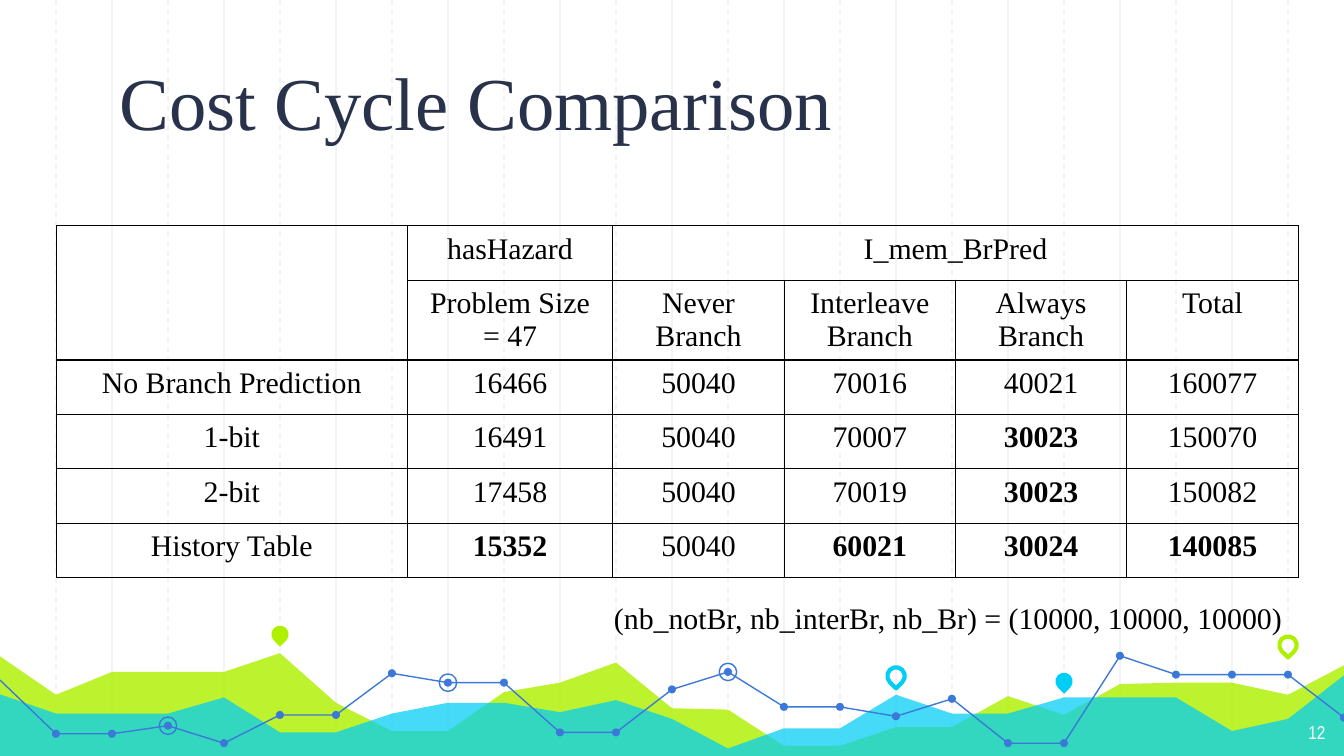
from dataclasses import dataclass

from lxml.etree import SubElement
from pptx import Presentation
from pptx.dml.color import RGBColor
from pptx.enum.dml import MSO_LINE_DASH_STYLE as Dash
from pptx.enum.shapes import MSO_CONNECTOR_TYPE as Connector, MSO_SHAPE as Shape
from pptx.enum.text import MSO_ANCHOR as Anchor, MSO_AUTO_SIZE as AutoSize, PP_ALIGN as Align
from pptx.oxml import parse_xml
from pptx.oxml.ns import nsdecls, qn
from pptx.util import Inches, Pt


@dataclass(frozen=True)
class Theme:
    title: str = "28324A"
    ink: str = "000000"
    grid: str = "F3F3F3"
    green: str = "AFF000"
    cyan: str = "00CEF6"
    blue: str = "3C78D8"
    white: str = "FFFFFF"
    serif: str = "Times New Roman"
    narrow: str = "Arial Narrow"
    title_size: int = 40
    body_size: int = 16
    number_size: int = 10
    thin: float = 0.75
    thick: float = 2.25


THEME = Theme()
WIDTH = 10
HEIGHT = WIDTH * 9 / 16
STEP = WIDTH / 24  # spacing of the background grid and of the chart points

# Heights of the decorative chart at each grid line, from left to right
GREEN_AREA = [4.87, 5.17, 5, 5, 5, 4.86, 5.23, 5.44, 5.44, 5.15, 5.08, 4.93, 5.27,
              5.28, 5.55, 5.55, 5.41, 5.41, 5.18, 5.32, 5.09, 5.08, 5.08, 5.17, 4.94]
CYAN_AREA = [5.16, 5.31, 5.31, 5.31, 5.19, 5.45, 5.45, 5.31, 5.23, 5.23, 5.3, 5.21, 5.35,
             5.57, 5.42, 5.42, 5.17, 5.31, 5.31, 5.19, 5.19, 5.19, 5.44, 5.35, 5.01]
BLUE_LINE = [5.06, 5.46, 5.46, 5.4, 5.53, 5.32, 5.32, 5.01, 5.08, 5.08, 5.45, 5.45, 5.13,
             5, 5.26, 5.26, 5.33, 5.2, 5.53, 5.53, 4.88, 5.02, 5.02, 5.02, 5.34]
LINE_PARTS = [(0, 11), (11, 20), (20, 24)]
RINGED_POINTS = [3, 8, 13]
PINS = [(5, 4.72, THEME.green, True), (16, 5.03, THEME.cyan, False),
        (19, 5.07, THEME.cyan, True), (23, 4.8, THEME.green, False)]

TABLE_ROWS = [
    ["", "hasHazard", "I_mem_BrPred", "", "", ""],
    ["", "Problem Size\n= 47", "Never Branch", "Interleave Branch", "Always Branch", "Total"],
    ["No Branch Prediction", "16466", "50040", "70016", "40021", "160077"],
    ["1-bit", "16491", "50040", "70007", "30023", "150070"],
    ["2-bit", "17458", "50040", "70019", "30023", "150082"],
    ["History Table", "15352", "50040", "60021", "30024", "140085"],
]
BEST_CELLS = {(3, 4), (4, 4), (5, 1), (5, 3), (5, 4), (5, 5)}


def write_text(frame, text, size=THEME.body_size, font=THEME.serif, color=THEME.ink,
               bold=False, align=Align.LEFT):
    """Fill a text frame, one paragraph for each line of text."""
    for index, line in enumerate(text.split("\n")):
        paragraph = frame.paragraphs[0] if index == 0 else frame.add_paragraph()
        paragraph.alignment = align
        run = paragraph.add_run()
        run.text = line
        run.font.size, run.font.name, run.font.bold = Pt(size), font, bold
        run.font.color.rgb = RGBColor.from_string(color)


def set_insets(frame, left, top, right, bottom):
    frame.margin_left, frame.margin_top = Inches(left), Inches(top)
    frame.margin_right, frame.margin_bottom = Inches(right), Inches(bottom)


def add_text_box(slide, box, text, inset=(0.1, 0.05), **text_format):
    frame = slide.shapes.add_textbox(*map(Inches, box)).text_frame
    frame.word_wrap = True
    set_insets(frame, *inset, *inset)
    write_text(frame, text, **text_format)


def paint(shape, fill=None, line=None, width=THEME.thin, opacity=100):
    """Give a shape a flat fill and line, or none of them."""
    shape.shadow.inherit = False
    if fill:
        shape.fill.solid()
        shape.fill.fore_color.rgb = RGBColor.from_string(fill)
        if opacity < 100:
            color = shape.element.spPr.find(qn("a:solidFill"))[0]
            SubElement(color, qn("a:alpha")).set("val", str(opacity * 1000))
    else:
        shape.fill.background()
    if line:
        shape.line.color.rgb = RGBColor.from_string(line)
        shape.line.width = Pt(width)
    else:
        shape.line.fill.background()


def add_outline(slide, points, close):
    points = [(Inches(x), Inches(y)) for x, y in points]
    builder = slide.shapes.build_freeform(*points[0])
    builder.add_line_segments(points[1:], close=close)
    return builder.convert_to_shape()


def add_marker(slide, kind, x, y, size):
    """Centre a small shape on a point."""
    return slide.shapes.add_shape(kind, Inches(x - size / 2), Inches(y - size / 2),
                                  Inches(size), Inches(size))


def add_grid(slide, box):
    """Vertical lines: solid on even steps, dashed on odd steps."""
    left, top, width, height = box
    for index in [*range(2, 24, 2), *range(1, 24, 2)]:
        x = Inches(left + index * width / 24)
        line = slide.shapes.add_connector(Connector.STRAIGHT, x, Inches(top),
                                          x, Inches(top + height))
        line.line.color.rgb = RGBColor.from_string(THEME.grid)
        line.line.width = Pt(THEME.thin)
        if index % 2:
            line.line.dash_style = Dash.DASH
        SubElement(line.element.spPr, qn("a:effectLst"))


def add_footer_chart(slide, left, bottom):
    """Decorative areas, line, dots, rings and pins along the bottom."""
    def x_at(index):
        return left + index * STEP

    # Areas
    for heights, color, opacity in [(GREEN_AREA, THEME.green, 82), (CYAN_AREA, THEME.cyan, 73)]:
        points = [(x_at(index), y) for index, y in enumerate(heights)]
        points[0], points[-1] = (left - 0.02, heights[0]), (x_at(24) + 0.02, heights[-1])
        points += [(x_at(24) + 0.02, bottom), (left - 0.03, bottom)]
        paint(add_outline(slide, points, close=True), fill=color, opacity=opacity)
    # Line with its dots and rings
    for first, last in LINE_PARTS:
        points = [(x_at(index), BLUE_LINE[index]) for index in range(first, last + 1)]
        paint(add_outline(slide, points, close=False), line=THEME.blue)
    for index, y in enumerate(BLUE_LINE[1:], start=1):
        paint(add_marker(slide, Shape.OVAL, x_at(index), y, 0.06), fill=THEME.blue)
    for index in RINGED_POINTS:
        paint(add_marker(slide, Shape.OVAL, x_at(index), BLUE_LINE[index], 0.13), line=THEME.blue)
    # Pins
    for index, y, color, filled in PINS:
        pin = add_marker(slide, Shape.TEAR, x_at(index), y, 0.13)
        pin.rotation = 135
        paint(pin, fill=color if filled else None, line=None if filled else color,
              width=THEME.thick)


def add_title(slide, box, text):
    title = slide.shapes.title
    title.left, title.top, title.width, title.height = map(Inches, box)
    title.element.getparent().append(title.element)  # in front of the grid
    frame = title.text_frame
    frame.auto_size, frame.vertical_anchor = AutoSize.NONE, Anchor.BOTTOM
    set_insets(frame, 0.1, 0, 0.1, 0.4)
    write_text(frame, text, size=THEME.title_size, color=THEME.title)


def set_borders(cell):
    properties = cell._tc.get_or_add_tcPr()
    for position, side in enumerate("LRTB"):
        properties.insert(position, parse_xml(
            f'<a:ln{side} {nsdecls("a")} w="{Pt(THEME.thin)}"><a:solidFill>'
            f'<a:srgbClr val="{THEME.ink}"/></a:solidFill></a:ln{side}>'))


def add_cost_table(slide, box):
    table = slide.shapes.add_table(len(TABLE_ROWS), len(TABLE_ROWS[0]), *map(Inches, box)).table
    table.first_row = table.horz_banding = False
    label, hazard = 2.61, 1.53
    branch = (box[2] - label - hazard) / 4
    for column, width in zip(table.columns, [label, hazard] + [branch] * 4):
        column.width = Inches(width)
    for row, texts in enumerate(TABLE_ROWS):
        for column, text in enumerate(texts):
            cell = table.cell(row, column)
            cell.fill.background()
            set_borders(cell)
            if text:
                write_text(cell.text_frame, text, bold=(row, column) in BEST_CELLS,
                           align=Align.CENTER)
    table.cell(0, 0).merge(table.cell(1, 0))
    table.cell(0, 2).merge(table.cell(0, 5))


def main():
    presentation = Presentation()
    presentation.slide_width, presentation.slide_height = Inches(WIDTH), Inches(HEIGHT)
    slide = presentation.slides.add_slide(presentation.slide_layouts[5])
    add_grid(slide, (0, 0, WIDTH, 5.65))
    add_footer_chart(slide, 0, 5.65)
    add_text_box(slide, (9.36, 5.28, 0.6, 0.35), "12", inset=(0.1, 0.1), font=THEME.narrow,
                 size=THEME.number_size, color=THEME.white, align=Align.RIGHT)
    add_title(slide, (0.79, 0.7, 8.87, 0.78), "Cost Cycle Comparison")
    add_cost_table(slide, (0.42, 1.68, 9.24, 2.43))
    add_text_box(slide, (4.47, 4.41, 5.53, 0.37),
                 "(nb_notBr, nb_interBr, nb_Br) = (10000, 10000, 10000)")
    presentation.save("out.pptx")


if __name__ == "__main__":
    main()
